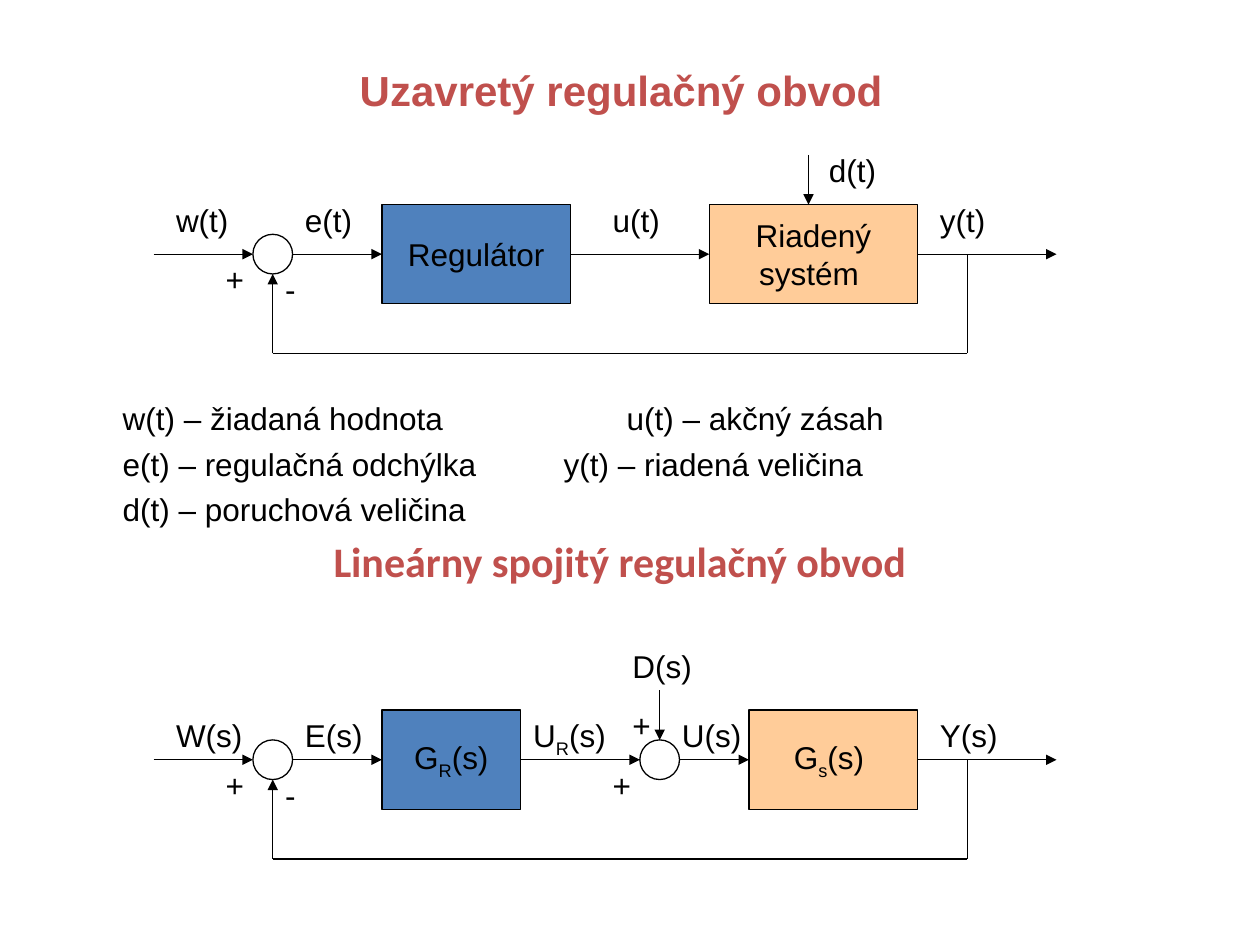
from lxml import etree
from pptx import Presentation
from pptx import util as u
from pptx.dml.color import RGBColor
from pptx.enum import shapes, text
from pptx.oxml.ns import qn

THEME = {
    "ink": RGBColor.from_string("000000"),
    "heading": RGBColor.from_string("C0504D"),
    "controller": RGBColor.from_string("4F81BD"),
    "plant": RGBColor.from_string("FFCC99"),
    "font": "Arial",
    "heading_font": "Calibri",
    "body": u.Pt(18),
    "title": u.Pt(24),
    "line": u.Pt(0.75),
}

prs = Presentation()
prs.slide_width, prs.slide_height = u.Inches(10), u.Inches(7.5)
W, H = prs.slide_width, prs.slide_height
CELL = W / 127                 # grid step of both diagrams
LEFT = 0.122 * W               # column 0
s = prs.slides.add_slide(prs.slide_layouts[5])


def write(tf, lines, size="body", color="ink", font="font", bold=False, align=None):
    """Fill a text frame; the letter after an underscore is a subscript."""
    for i, line in enumerate(lines):
        p = tf.paragraphs[0] if i == 0 else tf.add_paragraph()
        p.alignment = align
        p.font.size, p.font.bold = THEME[size], bold
        p.font.name, p.font.color.rgb = THEME[font], THEME[color]
        base, mark, rest = line.partition("_")
        p.add_run().text = base
        if mark:
            sub = p.add_run()
            sub.text = rest[0]
            sub.font._element.set("baseline", "-25000")
            p.add_run().text = rest[1:]


def cells(axis, col, row, w, h):
    """Grid position and size, with row 0 on the signal axis."""
    return [round(n) for n in (LEFT + col * CELL, axis + row * CELL, w * CELL, h * CELL)]


# Title
title = s.shapes.title
title.left, title.top = round(0.043 * W), round(0.037 * H)
title.width, title.height = round(0.9 * W), round(0.116 * H)
title.text_frame.auto_size = text.MSO_AUTO_SIZE.NONE
title.text_frame.vertical_anchor = text.MSO_ANCHOR.MIDDLE
write(title.text_frame, ["Uzavretý regulačný obvod"], "title", "heading",
      bold=True, align=text.PP_ALIGN.CENTER)

# Legend of the signals
legend = s.shapes.add_textbox(round(0.05 * W), round(0.416 * H), round(0.9 * W), round(0.147 * H))
tf = legend.text_frame
tf.word_wrap = True
write(tf, ["\tw(t) – žiadaná hodnota \t\t\tu(t) – akčný zásah",
           "\te(t) – regulačná odchýlka\t\ty(t) – riadená veličina",
           "\td(t) – poruchová veličina"])
for p in tf.paragraphs:
    p.space_before = u.Pt(4.3)
    pPr = p._p.get_or_add_pPr()
    pPr.set("marL", str(u.Inches(0.375)))
    pPr.set("indent", str(-u.Inches(0.375)))

# Second heading
heading = s.shapes.add_textbox(round(0.042 * W), round(0.56 * H), round(0.9 * W), round(0.084 * H))
heading.text_frame.word_wrap = True
write(heading.text_frame, ["Lineárny spojitý regulačný obvod"], "title", "heading",
      "heading_font", True, text.PP_ALIGN.CENTER)

# Parts that both loops share: lines as (from col, row, to col, row, arrow)
COMMON_LINES = [
    (0, 0, 10, 0, True), (14, 0, 23, 0, True), (77, 0, 91, 0, True),
    (82, 10, 82, 0, False), (12, 10, 82, 10, False), (12, 10, 12, 2, True),
]
COMMON_LABELS = [("+", 6, 0, 4.4), ("-", 12, 1, 3.6)]

# Blocks as (lines, col, width, fill), labels as (text, col, row, width)
diagrams = [
    {
        "axis": 0.269 * H,
        "blocks": [(["Regulátor"], 23, 19, "controller"),
                   (["Riadený", "systém "], 56, 21, "plant")],
        "sums": [10],
        "lines": [(42, 0, 56, 0, True), (66, -10, 66, -5, True)],
        "labels": [("w(t)", 1, -6, 7.9), ("e(t)", 14, -6, 7.4), ("u(t)", 45, -6, 7.4),
                   ("y(t)", 78, -6, 7.1), ("d(t)", 66.8, -11, 7.4)],
    },
    {
        "axis": 0.804 * H,
        "blocks": [(["G_R(s)"], 23, 14, "controller"),
                   (["G_s(s) "], 60, 17, "plant")],
        "sums": [10, 49],
        "lines": [(37, 0, 49, 0, True), (53, 0, 60, 0, True), (51, -7, 51, -2, True)],
        "labels": [("W(s)", 1, -5, 9.3), ("E(s)", 14, -5, 8.4), ("U_R(s)", 37, -5, 10),
                   ("U(s)", 52, -5, 8.5), ("Y(s)", 78, -5, 8.4), ("D(s)", 47, -12, 8.5),
                   ("+", 45, 0, 4.4), ("+", 47, -6, 4.4)],
    },
]

for diagram in diagrams:
    axis = diagram["axis"]

    # Controller and plant blocks
    outlined = []
    for lines, col, width, fill in diagram["blocks"]:
        sp = s.shapes.add_shape(shapes.MSO_SHAPE.RECTANGLE, *cells(axis, col, -5, width, 10))
        sp.fill.solid()
        sp.fill.fore_color.rgb = THEME[fill]
        sp.text_frame.word_wrap = False
        sp.text_frame.vertical_anchor = text.MSO_ANCHOR.MIDDLE
        write(sp.text_frame, lines, align=text.PP_ALIGN.CENTER)
        outlined.append(sp)

    # Summing points
    for col in diagram["sums"]:
        sp = s.shapes.add_shape(shapes.MSO_SHAPE.OVAL, *cells(axis, col, -2, 4, 4))
        sp.fill.background()
        outlined.append(sp)

    for sp in outlined:
        sp.shadow.inherit = False
        sp.line.color.rgb, sp.line.width = THEME["ink"], THEME["line"]

    # Signal lines
    for x1, y1, x2, y2, arrow in COMMON_LINES + diagram["lines"]:
        start, end = cells(axis, x1, y1, 0, 0)[:2], cells(axis, x2, y2, 0, 0)[:2]
        line = s.shapes.add_connector(shapes.MSO_CONNECTOR.STRAIGHT, *start, *end)
        line.line.color.rgb, line.line.width = THEME["ink"], THEME["line"]
        if arrow:
            etree.SubElement(line.line._get_or_add_ln(), qn("a:tailEnd"), type="triangle")
        etree.SubElement(line._element.spPr, qn("a:effectLst"))

    # Signal names and signs
    for label, col, row, width in COMMON_LABELS + diagram["labels"]:
        box = s.shapes.add_textbox(*cells(axis, col, row, width, 5.1))
        box.text_frame.word_wrap = False
        box.text_frame.auto_size = text.MSO_AUTO_SIZE.SHAPE_TO_FIT_TEXT
        write(box.text_frame, [label])

prs.save("out.pptx")
